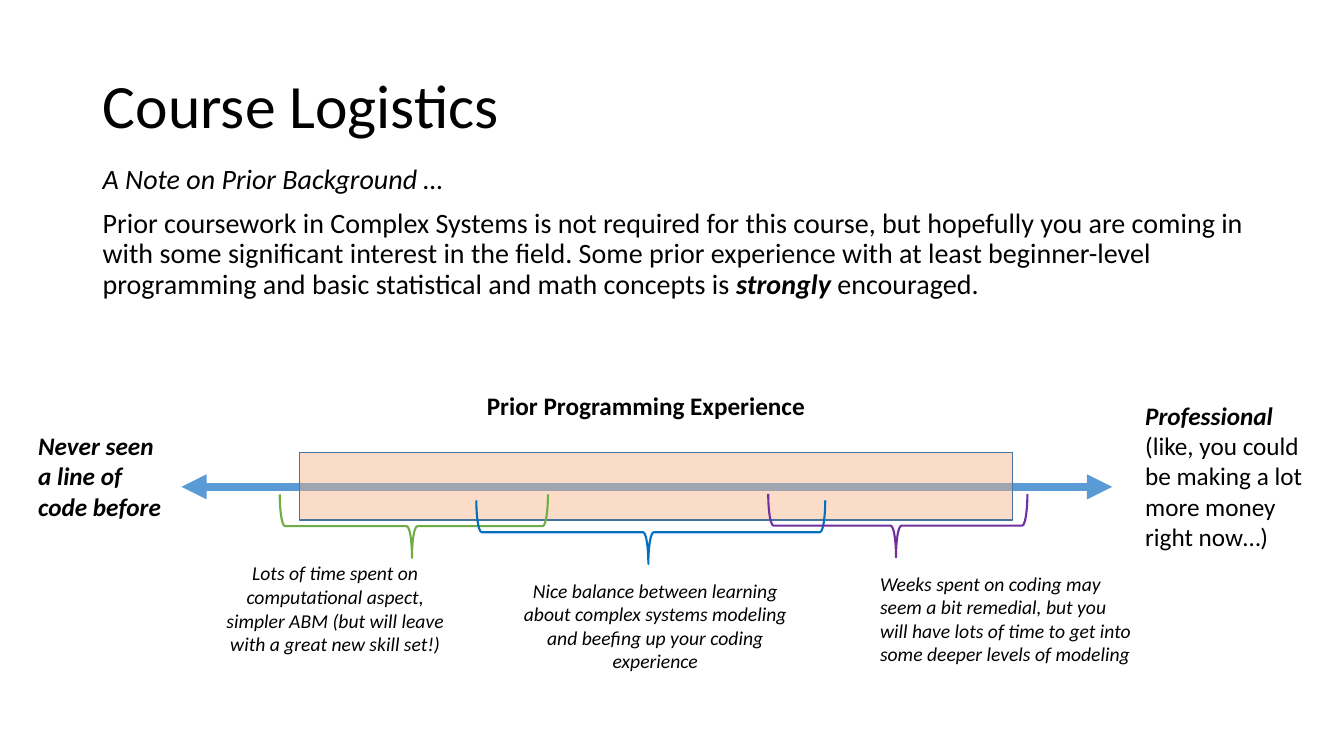
from dataclasses import dataclass

from lxml.etree import SubElement
from pptx import Presentation
from pptx.dml.color import RGBColor
from pptx.enum.shapes import MSO_CONNECTOR, MSO_SHAPE
from pptx.enum.text import MSO_ANCHOR, MSO_AUTO_SIZE, PP_ALIGN
from pptx.oxml.ns import qn
from pptx.util import Emu, Pt

EMU_PER_PX = 9144  # 100 px to the inch
FONT = "Calibri"
COLORS = {
    "text": "000000",
    "arrow": "5B9BD5",
    "range": "F4B183",
    "range_edge": "43739E",
    "beginner": "70AD47",
    "balanced": "0070C0",
    "advanced": "7030A0",
}


@dataclass(frozen=True)
class Span:
    text: str
    bold: bool = False
    italic: bool = False


@dataclass(frozen=True)
class Box:
    left: int
    top: int
    width: int
    height: int

    def emu(self) -> tuple:
        return tuple(px(n) for n in (self.left, self.top, self.width, self.height))


@dataclass(frozen=True)
class Label:
    box: Box
    paragraphs: tuple
    size: int = 18
    align: PP_ALIGN = PP_ALIGN.LEFT


@dataclass(frozen=True)
class Level:
    """A bracketed stretch of the scale and the note below it."""
    color: str
    brace: Box
    note: Label


def px(n: int) -> Emu:
    return Emu(n * EMU_PER_PX)


def rgb(name: str) -> RGBColor:
    return RGBColor.from_string(COLORS[name])


def write(paragraph, spans: tuple, size: int, align: PP_ALIGN = PP_ALIGN.LEFT) -> None:
    paragraph.alignment = align
    for span in spans:
        run = paragraph.add_run()
        run.text = span.text
        run.font.name = FONT
        run.font.size = Pt(size)
        run.font.bold = span.bold
        run.font.italic = span.italic
        run.font.color.rgb = rgb("text")


def add_label(slide, label: Label, auto_size=MSO_AUTO_SIZE.SHAPE_TO_FIT_TEXT):
    frame = slide.shapes.add_textbox(*label.box.emu()).text_frame
    frame.word_wrap = True
    frame.auto_size = auto_size
    for i, spans in enumerate(label.paragraphs):
        paragraph = frame.add_paragraph() if i else frame.paragraphs[0]
        write(paragraph, spans, label.size, label.align)
    return frame


def add_title(slide, text: str, box: Box) -> None:
    title = slide.shapes.title
    title.left, title.top, title.width, title.height = box.emu()
    frame = title.text_frame
    frame.auto_size = MSO_AUTO_SIZE.NONE
    frame.vertical_anchor = MSO_ANCHOR.MIDDLE
    frame.paragraphs[0].line_spacing = 0.9
    write(frame.paragraphs[0], (Span(text),), 44)


def add_body(slide, label: Label) -> None:
    for paragraph in add_label(slide, label, MSO_AUTO_SIZE.NONE).paragraphs:
        paragraph.line_spacing = 0.9
        paragraph.space_before = Pt(10)


def add_scale_arrow(slide, left: int, right: int, y: int) -> None:
    arrow = slide.shapes.add_connector(
        MSO_CONNECTOR.STRAIGHT, px(left), px(y), px(right), px(y))
    arrow.line.color.rgb = rgb("arrow")
    arrow.line.width = Pt(6)
    line = arrow.line._get_or_add_ln()
    for end in ("a:headEnd", "a:tailEnd"):
        SubElement(line, qn(end), type="triangle")
    SubElement(arrow._element.spPr, qn("a:effectLst"))


def add_range(slide, box: Box) -> None:
    band = slide.shapes.add_shape(MSO_SHAPE.RECTANGLE, *box.emu())
    band.shadow.inherit = False
    band.fill.solid()
    band.fill.fore_color.rgb = rgb("range")
    fill_color = band._element.spPr.find(qn("a:solidFill"))[0]
    SubElement(fill_color, qn("a:alpha"), val="44000")
    band.line.color.rgb = rgb("range_edge")
    band.line.width = Pt(1)


def add_brace(slide, level: Level) -> None:
    brace = slide.shapes.add_shape(MSO_SHAPE.LEFT_BRACE, *level.brace.emu())
    brace.rotation = 270
    brace.adjustments[0] = 0.083
    brace.adjustments[1] = 0.493
    brace.shadow.inherit = False
    brace.fill.background()
    brace.line.color.rgb = rgb(level.color)
    brace.line.width = Pt(1.5)


def note(box: Box, text: str, align: PP_ALIGN) -> Label:
    return Label(box, ((Span(text, italic=True),),), 14, align)


BODY = Label(Box(92, 159, 1203, 476), (
    (Span("A Note on Prior Background …", italic=True),),
    (Span("Prior coursework in Complex Systems is not required for this course, "
          "but hopefully you are coming in with some significant interest in the "
          "field. Some prior experience with at least beginner-level programming "
          "and basic statistical and math concepts is "),
     Span("strongly", bold=True, italic=True),
     Span(" encouraged.")),
), 20)

SCALE_LABELS = (
    Label(Box(28, 422, 152, 101),
          ((Span("Never seen a line of code before", True, True),),)),
    Label(Box(473, 382, 338, 40),
          ((Span("Prior Programming Experience", True),),)),
    Label(Box(1126, 392, 190, 162),
          ((Span("Professional", True, True),),
           (Span("(like, you could be making a lot more money right now…)"),))),
)

LEVELS = (
    Level("beginner", Box(379, 389, 63, 266), note(
        Box(204, 552, 257, 104),
        "Lots of time spent on computational aspect, simpler ABM "
        "(but will leave with a great new skill set!)", PP_ALIGN.CENTER)),
    Level("balanced", Box(614, 355, 63, 346), note(
        Box(507, 569, 286, 104),
        "Nice balance between learning about complex systems modeling "
        "and beefing up your coding experience", PP_ALIGN.CENTER)),
    Level("advanced", Box(859, 393, 63, 257), note(
        Box(863, 562, 269, 104),
        "Weeks spent on coding may seem a bit remedial, but you will have "
        "lots of time to get into some deeper levels of modeling", PP_ALIGN.LEFT)),
)


def main() -> None:
    deck = Presentation()
    deck.slide_width, deck.slide_height = px(1333), px(750)
    slide = deck.slides.add_slide(deck.slide_layouts.get_by_name("Title Only"))

    # Heading and introduction
    add_title(slide, "Course Logistics", Box(92, 35, 1150, 145))
    add_body(slide, BODY)

    # Experience scale
    add_scale_arrow(slide, 180, 1103, 483)
    for label in SCALE_LABELS:
        add_label(slide, label)
    add_range(slide, Box(297, 449, 707, 67))

    # What each level can expect
    for level in LEVELS:
        add_label(slide, level.note)
        add_brace(slide, level)

    deck.save("out.pptx")


if __name__ == "__main__":
    main()
